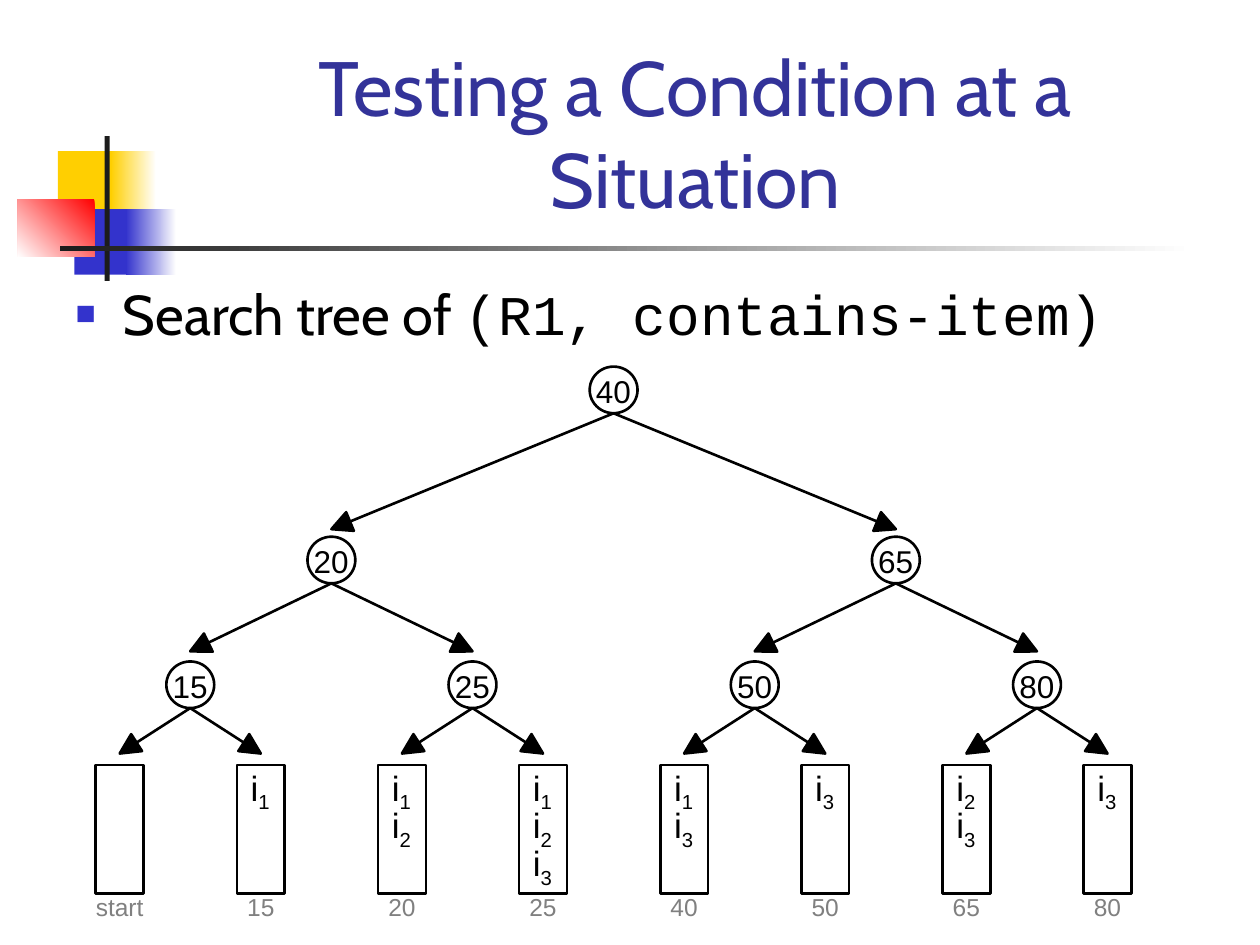
"""Build a slide showing a binary search tree for testing a condition at a situation."""
from dataclasses import dataclass
from math import hypot

from lxml.etree import SubElement
from pptx import Presentation
from pptx.dml.color import RGBColor
from pptx.enum.shapes import MSO_CONNECTOR, MSO_SHAPE
from pptx.enum.text import MSO_ANCHOR, MSO_AUTO_SIZE, PP_ALIGN
from pptx.oxml.ns import qn
from pptx.util import Inches, Pt

COLORS = {
    "black": "000000", "white": "FFFFFF", "label": "808080", "title": "333399",
    "blue": "3333CC", "yellow": "FFCF01", "red": "FF0000", "rule": "1C1C1C",
}
FIRST_COLUMN, COLUMN_PITCH = 0.95, 1.12
LEAF_TOP, LEAF_HEIGHT, ITEM_PITCH = 6.07, 1.02, 0.3
NODE_WIDTH, NODE_HEIGHT = 0.38, 0.37
HEAD_LENGTH, HEAD_HALF_WIDTH = 0.16, 0.08


@dataclass(frozen=True)
class Band:
    """A rectangle of the corner ornament, fading from start to end if end is given."""
    left: float
    top: float
    width: float
    height: float
    start: str
    end: str = ""
    angle: int = 180


@dataclass(frozen=True)
class Level:
    """A row of tree nodes; spread is the column distance from a node to its children."""
    top: float
    spread: float
    child_tip: float
    values: tuple[str, ...]


@dataclass(frozen=True)
class Leaf:
    """A bucket holding the numbers of its items."""
    label: str
    items: str = ""


BANDS = (
    Band(0.46, 1.2, 0.48, 0.52, "yellow"),
    Band(0.88, 1.2, 0.36, 0.52, "white", "yellow"),
    Band(0.59, 1.66, 0.46, 0.52, "blue"),
    Band(1, 1.66, 0.4, 0.52, "white", "blue"),
    Band(0.14, 1.58, 0.61, 0.46, "red", "white", 225),
    Band(0.83, 1.08, 0.04, 1.15, "rule"),
    Band(0.48, 1.95, 9, 0.04, "white", "rule"),
)
LEVELS = (
    Level(2.91, 2, 4.2, ("40",)),
    Level(4.26, 1, 5.17, ("20", "65")),
    Level(5.25, 0.5, 5.98, ("15", "25", "50", "80")),
)
LEAVES = (
    Leaf("start"), Leaf("15", "1"), Leaf("20", "12"), Leaf("25", "123"),
    Leaf("40", "13"), Leaf("50", "3"), Leaf("65", "23"), Leaf("80", "3"),
)


def color(name: str) -> RGBColor:
    return RGBColor.from_string(COLORS[name])


def column_center(column: float) -> float:
    return FIRST_COLUMN + COLUMN_PITCH * column


def set_font(paragraph, size: float, color_name: str, typeface: str | None = "Arial") -> None:
    font = paragraph.font
    font.size, font.name = Pt(size), typeface
    font.color.rgb = color(color_name)


def place(shape, left: float, top: float, width: float, height: float) -> None:
    shape.left, shape.top = Inches(left), Inches(top)
    shape.width, shape.height = Inches(width), Inches(height)


def add_band(slide, band: Band) -> None:
    shape = slide.shapes.add_shape(
        MSO_SHAPE.RECTANGLE, *map(Inches, (band.left, band.top, band.width, band.height)))
    shape.shadow.inherit = False
    shape.line.fill.background()
    if band.end:
        shape.fill.gradient()
        shape.fill.gradient_angle = band.angle
        for stop, name in zip(shape.fill.gradient_stops, (band.start, band.end)):
            stop.color.rgb = color(name)
    else:
        shape.fill.solid()
        shape.fill.fore_color.rgb = color(band.start)


def outline(shape, fill_name: str) -> None:
    shape.shadow.inherit = False
    shape.fill.solid()
    shape.fill.fore_color.rgb = color(fill_name)
    shape.line.color.rgb = color("black")
    shape.line.width = Pt(1.5)


def add_outlined(slide, kind: MSO_SHAPE, center: float, top: float, height: float) -> None:
    shape = slide.shapes.add_shape(
        kind, *map(Inches, (center - NODE_WIDTH / 2, top, NODE_WIDTH, height)))
    outline(shape, "white")


def add_text(slide, text: str, left: float, top: float, width: float, size: float,
             color_name: str = "black", subscript: str = "", alignment=PP_ALIGN.LEFT) -> None:
    box = slide.shapes.add_textbox(*map(Inches, (left, top, width, 0.24)))
    frame = box.text_frame
    frame.word_wrap = True
    frame.margin_left = frame.margin_top = frame.margin_right = frame.margin_bottom = 0
    paragraph = frame.paragraphs[0]
    paragraph.alignment = alignment
    set_font(paragraph, size, color_name)
    paragraph.add_run().text = text
    if subscript:
        run = paragraph.add_run()
        run.text = subscript
        run._r.get_or_add_rPr().set("baseline", "-25000")


def add_arrow(slide, start: tuple[float, float], tip: tuple[float, float]) -> None:
    """Draw a line with a triangular head, grouped."""
    run, rise = tip[0] - start[0], tip[1] - start[1]
    length = hypot(run, rise)
    across, down = run / length, rise / length
    base = (tip[0] - HEAD_LENGTH * across, tip[1] - HEAD_LENGTH * down)
    side = (-HEAD_HALF_WIDTH * down, HEAD_HALF_WIDTH * across)
    corners = [(base[0] + sign * side[0], base[1] + sign * side[1]) for sign in (1, -1)]
    shapes = slide.shapes.add_group_shape().shapes
    line = shapes.add_connector(MSO_CONNECTOR.STRAIGHT, *map(Inches, (*start, *base)))
    line.line.color.rgb = color("black")
    line.line.width = Pt(1.5)
    SubElement(line._element.spPr, qn("a:effectLst"))
    builder = shapes.build_freeform(*map(Inches, tip))
    builder.add_line_segments([tuple(map(Inches, corner)) for corner in corners], close=True)
    outline(builder.convert_to_shape(), "black")


def add_leaf(slide, column: int, leaf: Leaf) -> None:
    center = column_center(column)
    add_outlined(slide, MSO_SHAPE.RECTANGLE, center, LEAF_TOP, LEAF_HEIGHT)
    for row, item in enumerate(leaf.items):
        add_text(slide, "i", center - 0.08, 6.08 + ITEM_PITCH * row, 0.26, 20, subscript=item)
    add_text(slide, leaf.label, center - 0.25, 7.08, 0.5, 14, "label", alignment=PP_ALIGN.CENTER)


def add_level(slide, level: Level) -> None:
    for index, value in enumerate(level.values):
        column = level.spread * (4 * index + 2) - 0.5
        center = column_center(column)
        add_outlined(slide, MSO_SHAPE.OVAL, center, level.top, NODE_HEIGHT)
        add_text(slide, value, center - 0.14, level.top + 0.04, 0.3, 18)
        for step in (-level.spread, level.spread):
            add_arrow(slide, (center, level.top + NODE_HEIGHT),
                      (column_center(column + step), level.child_tip))


def fill_title(title) -> None:
    place(title, 1.26, 0.23, 8.52, 1.6)
    frame = title.text_frame
    frame.text = "Testing a Condition at a Situation"
    frame.auto_size, frame.vertical_anchor = MSO_AUTO_SIZE.NONE, MSO_ANCHOR.BOTTOM
    frame.paragraphs[0].alignment = PP_ALIGN.CENTER
    set_font(frame.paragraphs[0], 44, "title", "Cabin")


def fill_body(body) -> None:
    place(body, 0.5, 2.17, 9.33, 4.5)
    body.text_frame.auto_size = MSO_AUTO_SIZE.NONE
    paragraph = body.text_frame.paragraphs[0]
    properties = paragraph._p.get_or_add_pPr()
    properties.set("marL", str(Pt(27)))
    properties.set("indent", str(-Pt(27)))
    paragraph.space_before = Pt(0)
    bullet_color = SubElement(properties, qn("a:buClr"))
    SubElement(bullet_color, qn("a:srgbClr"), val=COLORS["blue"])
    SubElement(properties, qn("a:buSzPct"), val="60000")
    SubElement(properties, qn("a:buFont"), typeface="Arial")
    SubElement(properties, qn("a:buChar"), char="■")
    set_font(paragraph, 32, "black", None)
    for text, typeface in (("Search tree of ", "Cabin"), ("(R1, contains-item)", "Courier New")):
        run = paragraph.add_run()
        run.text, run.font.name = text, typeface


def main() -> None:
    presentation = Presentation()
    presentation.slide_width, presentation.slide_height = Inches(10), Inches(7.5)
    slide = presentation.slides.add_slide(presentation.slide_layouts[1])
    fill_title(slide.shapes.title)
    fill_body(slide.placeholders[1])
    for band in BANDS:
        add_band(slide, band)
    for column, leaf in enumerate(LEAVES):
        add_leaf(slide, column, leaf)
    for level in LEVELS:
        add_level(slide, level)
    presentation.save("out.pptx")


if __name__ == "__main__":
    main()
